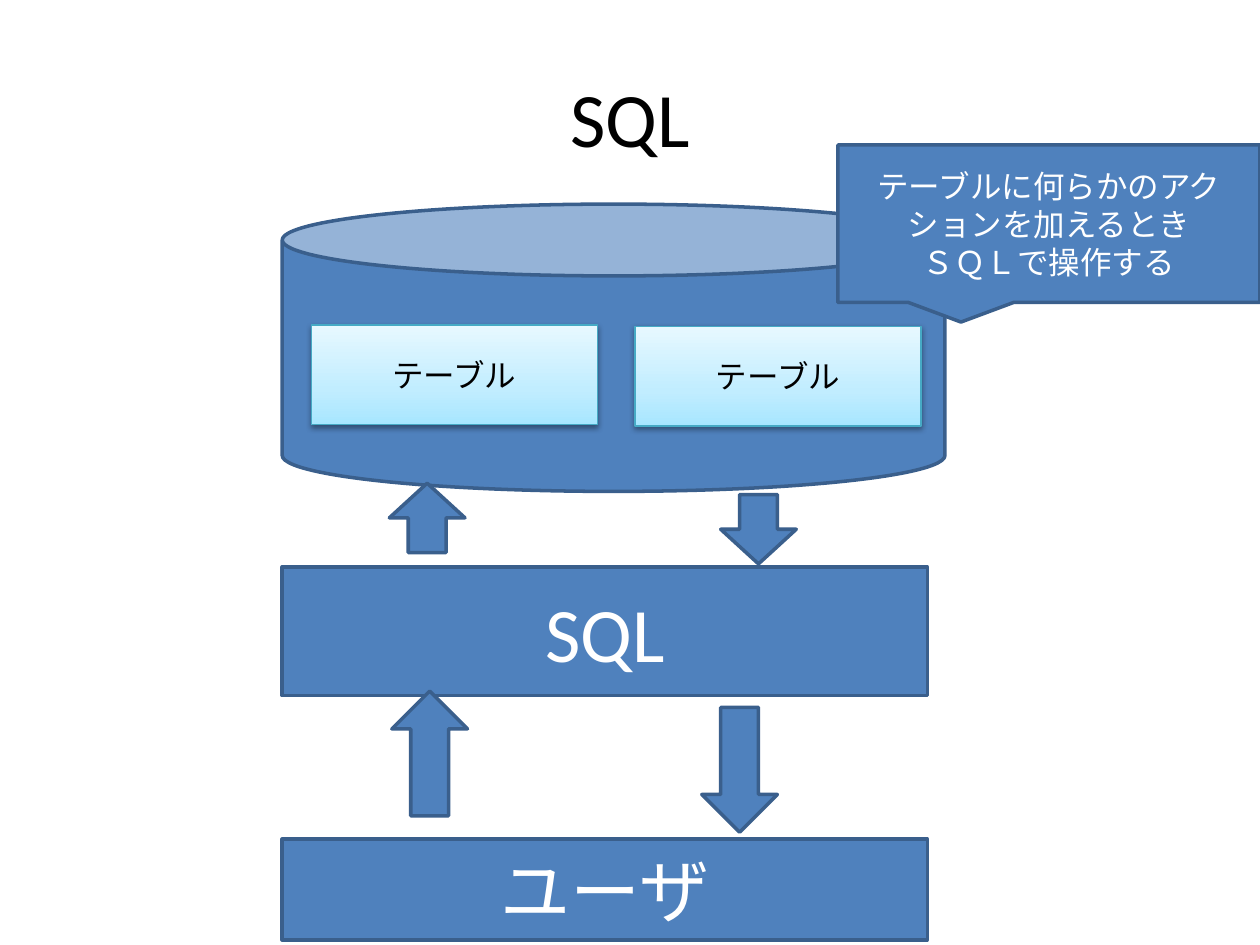
from copy import deepcopy

from lxml.etree import SubElement
from pptx import Presentation
from pptx.dml.color import RGBColor
from pptx.enum.shapes import MSO_SHAPE as Shape
from pptx.enum.text import MSO_ANCHOR as Anchor, PP_ALIGN as Align
from pptx.oxml.ns import qn
from pptx.util import Inches, Pt

UNIT = 0.1  # inches per grid column and row
COLUMNS, ROWS = 100, 75


def color(hex_string):
    return RGBColor.from_string(hex_string)


def grid(*counts):
    return [Inches(count * UNIT) for count in counts]


def write(box, text, size=18, ink="FFFFFF", font="Calibri"):
    """Fill the box with centred text, one paragraph per line."""
    frame = box.text_frame
    frame.word_wrap = True
    frame.vertical_anchor = Anchor.MIDDLE
    for index, line in enumerate(text.split("\n")):
        para = frame.paragraphs[0] if index == 0 else frame.add_paragraph()
        para.alignment = Align.CENTER
        span = para.add_run()
        span.text = line
        span.font.name = font
        span.font.size = Pt(size)
        span.font.color.rgb = color(ink)


class Diagram:
    """Style of the diagram and the page it is drawn on."""
    fill, outline = "4F81BD", "3A5F8C"
    table_outline = "46AAC5"
    table_stops = [(0, "A7E6FF"), (0.35, "C1EDFF"), (1, "E7F8FF")]

    def __init__(self, deck):
        self.page = deck.slides.add_slide(deck.slide_layouts[5])

    def title(self, text, *place):
        box = self.page.shapes.title
        box.left, box.top, box.width, box.height = grid(*place)
        write(box, text, size=44, ink="000000")

    def block(self, kind, *place, text=None, size=18):
        box = self.page.shapes.add_shape(kind, *grid(*place))
        box.shadow.inherit = False
        box.fill.solid()
        box.fill.fore_color.rgb = color(self.fill)
        box.line.color.rgb = color(self.outline)
        box.line.width = Pt(2)
        if text:
            write(box, text, size=size)
        return box

    def arrow(self, center, middle, length, turn):
        """Draw a left arrow around a grid point, turned by some degrees."""
        breadth = 6
        box = self.block(Shape.LEFT_ARROW, center - length / 2,
                         middle - breadth / 2, length, breadth)
        box.rotation = turn

    def table_card(self, left, top):
        box = self.block(Shape.RECTANGLE, left, top, 22.7, 7.9)
        box.line.color.rgb = color(self.table_outline)
        box.line.width = Pt(0.75)
        box.fill.gradient()
        box.fill.gradient_angle = 90
        properties = box._element.spPr
        stop_list = properties.find(".//" + qn("a:gsLst"))
        stop_list.append(deepcopy(stop_list[-1]))
        for stop, (position, tint) in zip(box.fill.gradient_stops, self.table_stops):
            stop.position = position
            stop.color.rgb = color(tint)
        shadow = SubElement(properties.find(qn("a:effectLst")), qn("a:outerShdw"),
                            blurRad="40000", dist="20000", dir="5400000",
                            rotWithShape="0")
        shade = SubElement(shadow, qn("a:srgbClr"), val="000000")
        SubElement(shade, qn("a:alpha"), val="38000")
        write(box, "テーブル", ink="000000")


def main():
    deck = Presentation()
    deck.slide_width, deck.slide_height = grid(COLUMNS, ROWS)
    diagram = Diagram(deck)
    left, width = 22.4, 51.2
    up, down = 90, 270

    diagram.title("SQL", 5, 3, 90, 12.5)
    diagram.block(Shape.CAN, left, 16.2, 52.6, 22.8)
    diagram.block(Shape.RECTANGLE, left, 45, width, 10.2, text="SQL", size=44)
    for center, middle, length, turn in [
        (34.1, 59.8, 9.9, up), (58.7, 61.1, 9.9, down),
        (33.9, 41.1, 5.5, up), (60.2, 42, 5.5, down),
    ]:
        diagram.arrow(center, middle, length, turn)
    diagram.block(Shape.RECTANGLE, left, 66.6, width, 8, text="ユーザ", size=40)
    for card_left, card_top in [(24.7, 25.8), (50.4, 25.9)]:
        diagram.table_card(card_left, card_top)
    diagram.block(Shape.RECTANGULAR_CALLOUT, 66.5, 11.5, 33.5, 12.5,
                  text="テーブルに何らかのアクションを加えるとき\nＳＱＬで操作する")
    deck.save("out.pptx")


if __name__ == "__main__":
    main()
